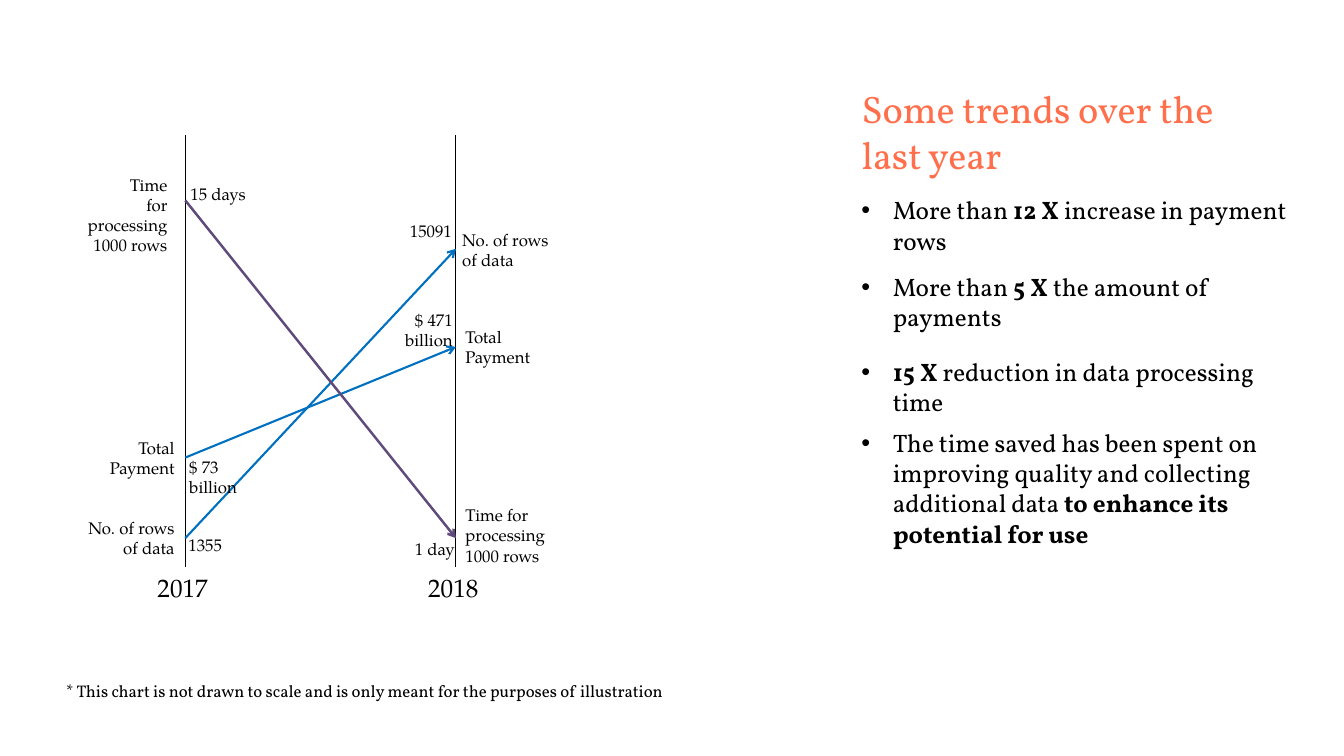
from lxml import etree
from pptx import Presentation
from pptx import util as u
from pptx.dml.color import RGBColor
from pptx.enum import shapes, text
from pptx.oxml.ns import qn

TITLE = "Some trends over the last year"
SERIF, LABEL_FONT = "Vollkorn", "TeX Gyre Pagella"
BLACK, CORAL, BLUE, PURPLE = "000000", "FF6F4C", "0070C0", "604A7B"
LEFT, RIGHT = text.PP_ALIGN.LEFT, text.PP_ALIGN.RIGHT

# Top and height in cm, then (words, bold) spans
BULLETS = [
    (4.78, 3.33, [("More than ", False), ("12 X", True),
                  (" increase in payment rows", False)]),
    (6.71, 1.8, [("More than ", False), ("5 X ", True),
                 ("the amount of payments", False)]),
    (8.86, 1.8, [("15 X", True), (" reduction in data processing time", False)]),
    (10.64, 3.33, [("The time saved has been spent on improving quality and "
                    "collecting additional data ", False),
                   ("to enhance its potential for use", True)]),
]
FOOTNOTE = ("* This chart is not drawn to scale and is only meant "
            "for the purposes of illustration")

AXES = {"2017": 4.67, "2018": 11.49}
AXIS_TOP, AXIS_BOTTOM = 3.4, 14.3
# Colour, line width in points, height on the 2017 axis, height on the 2018 axis
TRENDS = [
    (BLUE, 1.5, 13.56, 6.27),
    (BLUE, 1.5, 11.53, 8.74),
    (PURPLE, 1.75, 5.05, 13.56),
]
# Words, aligned edge of the box, top, number of lines, alignment
NAMES = [
    ("No. of rows of data", 4.65, 12.93, 2, RIGHT),
    ("No. of rows of data", 11.4, 5.66, 2, LEFT),
    ("Total Payment", 4.65, 10.9, 2, RIGHT),
    ("Total Payment", 11.48, 8.1, 2, LEFT),
    ("Time\vfor processing 1000 rows", 4.47, 4.27, 4, RIGHT),
    ("Time for processing 1000 rows", 11.48, 12.6, 3, LEFT),
]
VALUES = [
    ("1355", 4.5, 13.36, 1, LEFT),
    ("15091", 11.64, 5.44, 1, RIGHT),
    ("$ 73 billion", 4.52, 11.38, 2, LEFT),
    ("$ 471 billion", 11.66, 7.67, 2, RIGHT),
    ("15 days", 4.55, 4.5, 1, LEFT),
    ("1 day", 11.71, 13.46, 1, RIGHT),
]
NAME_WIDTH, VALUE_WIDTH, YEAR_WIDTH = 2.87, 2.38, 1.9
LINE_HEIGHT, PADDING = 0.51, 0.25
COLUMN_LEFT = 21.46


def colour(hex_string):
    return RGBColor.from_string(hex_string)


def style(para, font, size, hex_string=BLACK):
    para.font.name = font
    para.font.size = u.Pt(size)
    para.font.color.rgb = colour(hex_string)


def add_text(slide, words, left, top, width, height, font, size, align=LEFT):
    box = slide.shapes.add_textbox(*map(u.Cm, (left, top, width, height)))
    box.text_frame.word_wrap = True
    para = box.text_frame.paragraphs[0]
    para.text = words
    para.alignment = align
    style(para, font, size)


def add_bullet(slide, top, height, spans):
    box = slide.shapes.add_textbox(*map(u.Cm, (COLUMN_LEFT, top, 11.23, height)))
    box.text_frame.word_wrap = True
    para = box.text_frame.paragraphs[0]
    properties = para._p.get_or_add_pPr()
    properties.set("marL", str(u.Cm(0.79)))
    properties.set("indent", str(-u.Cm(0.79)))
    etree.SubElement(properties, qn("a:buFont"), typeface="Arial")
    etree.SubElement(properties, qn("a:buChar"), char="•")
    style(para, SERIF, 18)
    for words, bold in spans:
        span = para.add_run()
        span.text = words
        span.font.bold = bold


def add_line(slide, start, end, hex_string, width, arrow=False):
    line = slide.shapes.add_connector(shapes.MSO_CONNECTOR.STRAIGHT,
                                      *map(u.Cm, start + end))
    line.line.color.rgb = colour(hex_string)
    line.line.width = u.Pt(width)
    if arrow:
        etree.SubElement(line.line._get_or_add_ln(), qn("a:tailEnd"), type="arrow")
    etree.SubElement(line._element.spPr, qn("a:effectLst"))


def add_labels(slide, labels, width):
    """Place each label so that its aligned side touches the given edge."""
    for words, edge, top, lines, align in labels:
        left = edge - width if align == RIGHT else edge
        add_text(slide, words, left, top, width, lines * LINE_HEIGHT + PADDING,
                 LABEL_FONT, 12, align)


def add_title(slide):
    title = slide.shapes.title
    title.left, title.top = u.Cm(COLUMN_LEFT), u.Cm(2.03)
    title.width, title.height = u.Cm(9.53), u.Cm(2.36)
    frame = title.text_frame
    frame.text = TITLE
    frame.word_wrap = True
    frame.auto_size = text.MSO_AUTO_SIZE.NONE
    frame.vertical_anchor = text.MSO_ANCHOR.TOP
    frame.paragraphs[0].alignment = LEFT
    style(frame.paragraphs[0], SERIF, 27.3, CORAL)


def main():
    deck = Presentation()
    deck.slide_width, deck.slide_height = u.Cm(33.87), u.Cm(19.05)
    slide = deck.slides.add_slide(deck.slide_layouts.get_by_name("Title Only"))
    add_title(slide)
    for bullet in BULLETS:
        add_bullet(slide, *bullet)
    for year, x in AXES.items():
        add_line(slide, (x, AXIS_TOP), (x, AXIS_BOTTOM), BLACK, 0.75)
        add_text(slide, year, x - YEAR_WIDTH / 2, AXIS_BOTTOM, YEAR_WIDTH, 1.02,
                 LABEL_FONT, 18)
    for hex_string, width, before, after in TRENDS:
        add_line(slide, (AXES["2017"], before), (AXES["2018"], after),
                 hex_string, width, arrow=True)
    add_labels(slide, NAMES, NAME_WIDTH)
    add_labels(slide, VALUES, VALUE_WIDTH)
    add_text(slide, FOOTNOTE, 1.42, 17.02, 26.24, 0.76, SERIF, 12)
    deck.save("out.pptx")


if __name__ == "__main__":
    main()
